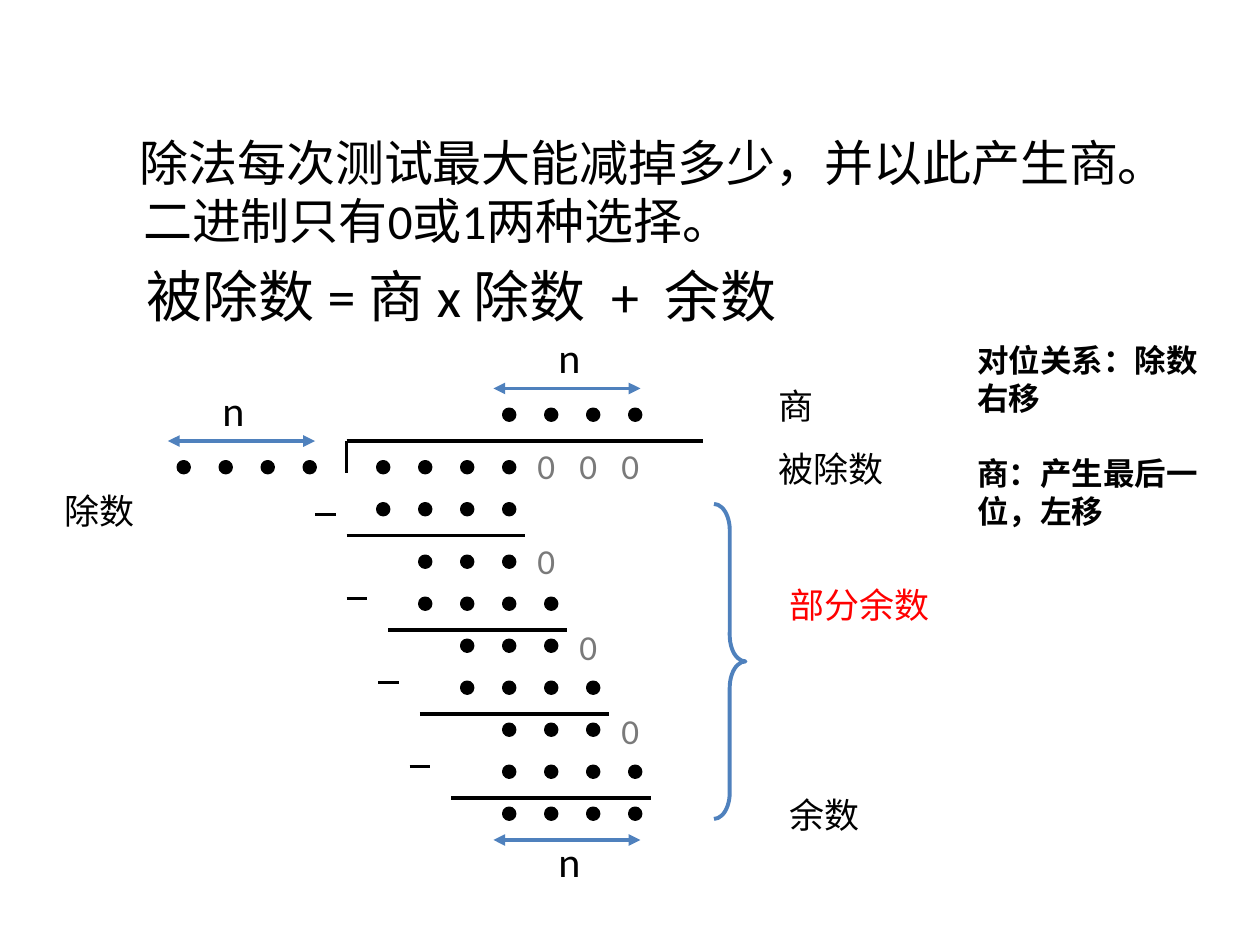
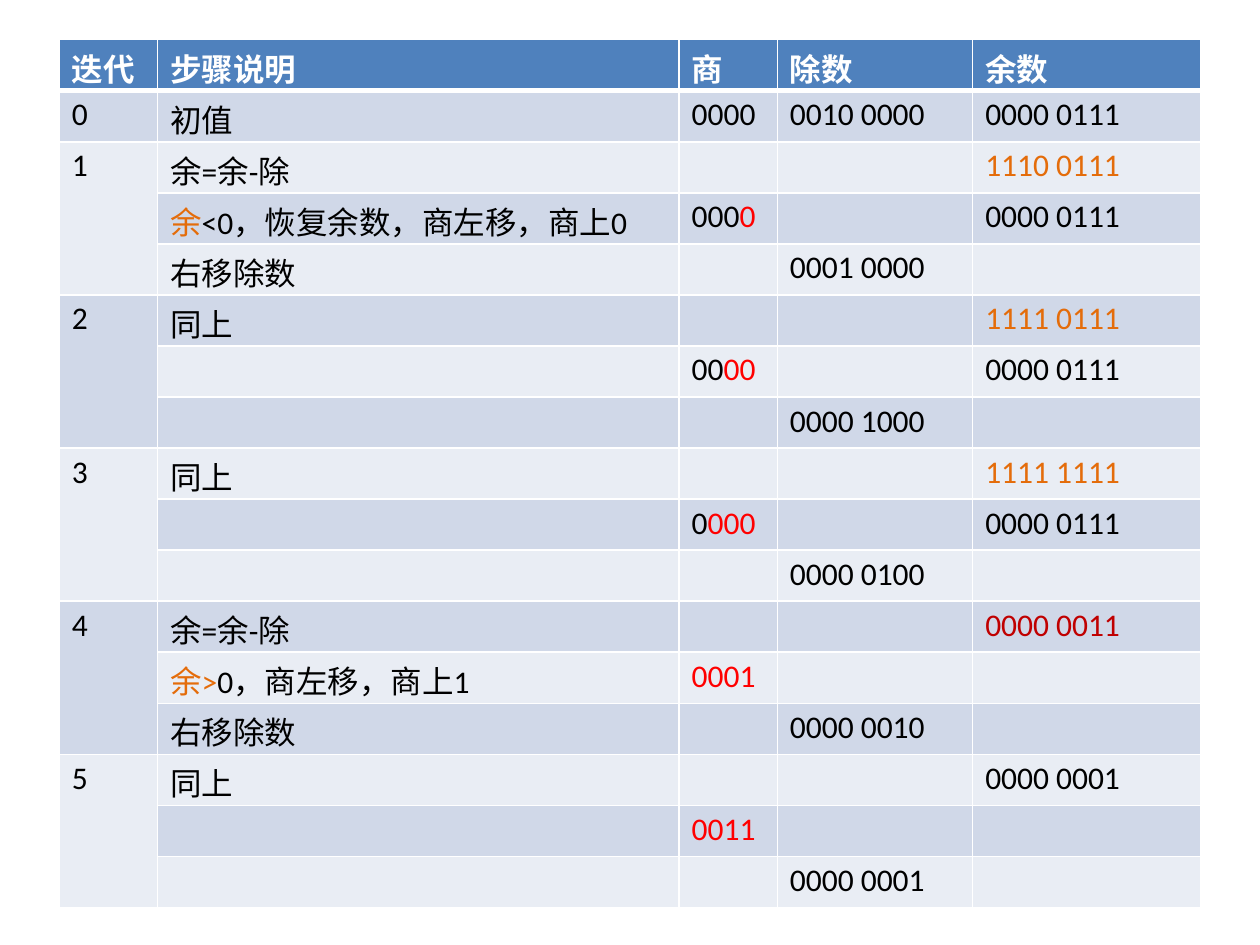
from dataclasses import dataclass
from typing import Any, NamedTuple

from lxml.etree import SubElement
from pptx import Presentation
from pptx.dml.color import RGBColor as Rgb
from pptx.enum.shapes import MSO_CONNECTOR as Connector, MSO_SHAPE as Preset
from pptx.oxml.ns import qn
from pptx.slide import Slide
from pptx.table import _Cell as Cell
from pptx.util import Inches, Pt

SLIDE_WIDTH, SLIDE_HEIGHT = Inches(10), Inches(7.5)
GRID_COLUMNS = 120  # square grid cells, so the slide is 90 rows high
UNIT = SLIDE_WIDTH / GRID_COLUMNS
DIGIT_PITCH = 4  # grid cells from one digit to the next


@dataclass(frozen=True)
class Theme:
    font: str = "Calibri"
    ink: str = "000000"
    paper: str = "FFFFFF"
    accent: str = "4F81BD"
    red: str = "FF0000"
    deep_red: str = "C00000"
    orange: str = "E46C0A"
    gray: str = "7A7A7A"
    bands: tuple[str, str] = ("E9EDF4", "D0D8E8")
    formula: float = 32
    lead: float = 28
    count: float = 24
    label: float = 20
    body: float = 18
    stroke: float = 2.25
    border: float = 1
    header_rule: float = 3


THEME = Theme()


class Piece(NamedTuple):
    text: str
    color: str = THEME.ink
    spacing: float = 0


@dataclass(frozen=True)
class Paragraph:
    pieces: tuple[Piece, ...]
    size: float
    bold: bool = False
    space_before: float = 0
    indent: float = 0
    first_line: float = 0


@dataclass(frozen=True)
class TextArea:
    col: float
    row: float
    width: float
    height: float
    paragraphs: tuple[Paragraph, ...]


class DigitRow(NamedTuple):
    col: int
    row: int
    digits: int = 4


class Stroke(NamedTuple):
    start: tuple[float, float]
    end: tuple[float, float]
    color: str = THEME.ink
    arrows: bool = False


def grid(cells: float) -> int:
    return round(cells * UNIT)


def apply_format(target: Any, values: dict[str, Any]) -> None:
    for key, value in values.items():
        setattr(target, key, value)


def write(paragraph: Any, content: Paragraph) -> None:
    if content.indent:
        properties = paragraph._p.get_or_add_pPr()
        properties.set("marL", str(Inches(content.indent)))
        properties.set("indent", str(Inches(content.first_line)))
    if content.space_before:
        paragraph.space_before = Pt(content.space_before)
    for piece in content.pieces:
        run = paragraph.add_run()
        run.text = piece.text
        apply_format(run.font, {"name": THEME.font, "size": Pt(content.size),
                                "bold": content.bold})
        run.font.color.rgb = Rgb.from_string(piece.color)
        if piece.spacing:
            run._r.get_or_add_rPr().set("spc", str(round(piece.spacing * 100)))


def add_text(slide: Slide, area: TextArea) -> None:
    frame = slide.shapes.add_textbox(
        *map(grid, (area.col, area.row, area.width, area.height))).text_frame
    frame.word_wrap = True
    for index, content in enumerate(area.paragraphs):
        write(frame.add_paragraph() if index else frame.paragraphs[0], content)


def label(text: str, col: float, row: float, width: float, height: float = 5.25,
          color: str = THEME.ink, size: float = THEME.label) -> TextArea:
    return TextArea(col, row, width, height,
                    (Paragraph((Piece(text, color),), size),))


def set_line(line: Any, color: str) -> None:
    line.color.rgb = Rgb.from_string(color)
    line.width = Pt(THEME.stroke)


def add_digits(slide: Slide, digit_row: DigitRow) -> None:
    """Draw each unknown binary digit as a dot."""
    for place in range(digit_row.digits):
        dot = slide.shapes.add_shape(
            Preset.OVAL, grid(digit_row.col + place * DIGIT_PITCH),
            grid(digit_row.row), grid(1), grid(1))
        dot.shadow.inherit = False
        dot.fill.solid()
        dot.fill.fore_color.rgb = Rgb.from_string(THEME.ink)
        set_line(dot.line, THEME.ink)


def add_stroke(slide: Slide, stroke: Stroke) -> None:
    connector = slide.shapes.add_connector(
        Connector.STRAIGHT, *map(grid, stroke.start + stroke.end))
    set_line(connector.line, stroke.color)
    properties = connector._element.spPr
    if stroke.arrows:
        for tip in ("a:headEnd", "a:tailEnd"):
            SubElement(properties.find(qn("a:ln")), qn(tip), type="triangle")
    SubElement(properties, qn("a:effectLst"))


def add_brace(slide: Slide, col: float, row: float, width: float, height: float) -> None:
    brace = slide.shapes.add_shape(
        Preset.RIGHT_BRACE, *map(grid, (col, row, width, height)))
    brace.shadow.inherit = False
    brace.adjustments[0] = 0.83
    brace.fill.background()
    set_line(brace.line, THEME.accent)


INTRO = TextArea(7.9, 12, 108.7, 24, (
    Paragraph((Piece("除法每次测试最大能减掉多少，并以此产生商。二进制只有0或1两种选择。"),),
              THEME.lead, indent=0.38, first_line=-0.03),
    Paragraph((Piece("被除数 = 商 x 除数"), Piece(" ", spacing=7.2), Piece("+"),
               Piece(" ", spacing=7.2), Piece("余数")),
              THEME.formula, space_before=6.4, indent=0.41),
))
ALIGNMENT_NOTE = TextArea(91.9, 31.9, 24.4, 23, (
    Paragraph((Piece("对位关系：除数右移"),), THEME.body, bold=True),
    Paragraph((Piece("商：产生最后一位，左移"),), THEME.body, bold=True, space_before=21.5),
))
PART_NAMES = (
    label("商", 73, 36, 22),
    label("被除数", 73, 42, 21),
    label("除数", 5, 46, 21),
    label("部分余数", 74, 55, 21, color=THEME.red),
    label("余数", 74, 75, 26),
)
QUOTIENT, DIVISOR, DIVIDEND = DigitRow(48, 39), DigitRow(17, 44), DigitRow(36, 44)
SUBTRAHENDS = (DigitRow(36, 48), DigitRow(40, 57), DigitRow(44, 65), DigitRow(48, 73))
REMAINDERS = (DigitRow(40, 53, 3), DigitRow(44, 61, 3), DigitRow(48, 69, 3),
              DigitRow(48, 77))
DIVISION_BRACKET = (Stroke((33, 42), (67, 42)), Stroke((33, 42), (33, 45)))
SUBTRACTION_RULES = ((33, 50, 51), (37, 54, 60), (40, 58, 68), (43, 62, 76))
MINUS_SIGNS = ((30, 49), (33, 57), (36, 65), (39, 73))
APPENDED_ZEROS = ((50, 41.75), (54, 41.75), (58, 41.75),
                  (50, 50.75), (54, 59), (58, 67))
# Arrow start column and row, then the column and row of its "n"
WIDTH_MARKS = ((16, 42, 20, 36), (47, 37, 52, 31), (47, 80, 52, 79))


def build_long_division(slide: Slide) -> None:
    for area in (INTRO, ALIGNMENT_NOTE, *PART_NAMES):
        add_text(slide, area)
    for digit_row in (QUOTIENT, DIVISOR, DIVIDEND, *SUBTRAHENDS, *REMAINDERS):
        add_digits(slide, digit_row)

    rules = [Stroke((left, row), (right, row)) for left, right, row in SUBTRACTION_RULES]
    minuses = [Stroke((col, row), (col + 2, row)) for col, row in MINUS_SIGNS]
    spans = [Stroke((col, row), (col + 14, row), THEME.accent, True)
             for col, row, _, _ in WIDTH_MARKS]
    for stroke in (*DIVISION_BRACKET, *rules, *minuses, *spans):
        add_stroke(slide, stroke)

    for _, _, col, row in WIDTH_MARKS:
        add_text(slide, label("n", col, row, 7, 6, size=THEME.count))
    for col, row in APPENDED_ZEROS:
        add_text(slide, label("0", col, row, 4, color=THEME.gray))
    add_brace(slide, 68, 48, 3, 30)


def orange(text: str) -> Piece:
    return Piece(text, THEME.orange)


def red(text: str) -> Piece:
    return Piece(text, THEME.red)


def plain(text: str) -> tuple[Piece, ...]:
    return (Piece(text),) if text else ()


def full_steps(*decision: Piece) -> tuple[tuple[Piece, ...], ...]:
    return plain("余=余-除"), decision, plain("右移除数")


@dataclass(frozen=True)
class Iteration:
    """Three steps: subtract, settle the quotient bit, shift the divisor."""
    difference: Piece
    quotient: tuple[Piece, ...]
    divisor: str
    restored: str = ""
    steps: tuple[tuple[Piece, ...], ...] = (plain("同上"), (), ())

    def rows(self, number: int) -> list[tuple[tuple[Piece, ...], ...]]:
        subtract, settle, shift = self.steps
        return [
            (plain(str(number)), subtract, (), (), (self.difference,)),
            ((), settle, self.quotient, (), plain(self.restored)),
            ((), shift, (), plain(self.divisor), ()),
        ]


HEADINGS = ("迭代", "步骤说明", "商", "除数", "余数")
INITIAL_VALUES = ("0", "初值", "0000", "0010 0000", "0000 0111")
ITERATIONS = (
    Iteration(orange("1110 0111"), (Piece("000"), red("0")), "0001 0000", "0000 0111",
              full_steps(orange("余"), Piece("<0，恢复余数，商左移，商上0"))),
    Iteration(orange("1111 0111"), (Piece("00"), red("00")), "0000 1000", "0000 0111"),
    Iteration(orange("1111 1111"), (Piece("0"), red("000")), "0000 0100", "0000 0111"),
    Iteration(Piece("0000 0011", THEME.deep_red), (red("0001"),), "0000 0010",
              steps=full_steps(orange("余>"), Piece("0，商左移，商上1"))),
    Iteration(Piece("0000 0001"), (red("0011"),), "0000 0001"),
)
COLUMN_SHARES = (0.078, 0.414, 0.078, 0.155, 0.181)
TABLE_LEFT, TABLE_TOP, TABLE_HEIGHT = 0.047, 0.042, 0.919
CELL_MARGINS = {"margin_top": Inches(0.04), "margin_bottom": 0}


def style_cell(cell: Cell, row: int) -> None:
    apply_format(cell, CELL_MARGINS)
    properties = cell._tc.get_or_add_tcPr()
    for side in ("lnL", "lnR", "lnT", "lnB"):
        heavy = (row, side) in {(0, "lnB"), (1, "lnT")}
        width = THEME.header_rule if heavy else THEME.border
        line = SubElement(properties, qn(f"a:{side}"), w=str(Pt(width)))
        SubElement(SubElement(line, qn("a:solidFill")), qn("a:srgbClr"), val=THEME.paper)
    cell.fill.solid()
    cell.fill.fore_color.rgb = Rgb.from_string(THEME.bands[row % 2] if row else THEME.accent)


def build_division_steps(slide: Slide) -> None:
    rows = [tuple((Piece(text, THEME.paper),) for text in HEADINGS),
            tuple(map(plain, INITIAL_VALUES))]
    for number, iteration in enumerate(ITERATIONS, start=1):
        rows += iteration.rows(number)

    table = slide.shapes.add_table(
        len(rows), len(HEADINGS),
        round(SLIDE_WIDTH * TABLE_LEFT), round(SLIDE_HEIGHT * TABLE_TOP),
        round(SLIDE_WIDTH * sum(COLUMN_SHARES)), round(SLIDE_HEIGHT * TABLE_HEIGHT)).table
    apply_format(table, {"first_row": False, "horz_banding": False})
    for column, share in zip(table.columns, COLUMN_SHARES):
        column.width = round(SLIDE_WIDTH * share)
    for row, contents in enumerate(rows):
        for col, pieces in enumerate(contents):
            cell = table.cell(row, col)
            style_cell(cell, row)
            write(cell.text_frame.paragraphs[0],
                  Paragraph(pieces, THEME.body, bold=row == 0))
    for first in range(2, len(rows), 3):
        table.cell(first, 0).merge(table.cell(first + 2, 0))


def main() -> None:
    deck = Presentation()
    apply_format(deck, {"slide_width": SLIDE_WIDTH, "slide_height": SLIDE_HEIGHT})
    for build in (build_long_division, build_division_steps):
        build(deck.slides.add_slide(deck.slide_layouts[6]))
    deck.save("out.pptx")


if __name__ == "__main__":
    main()
